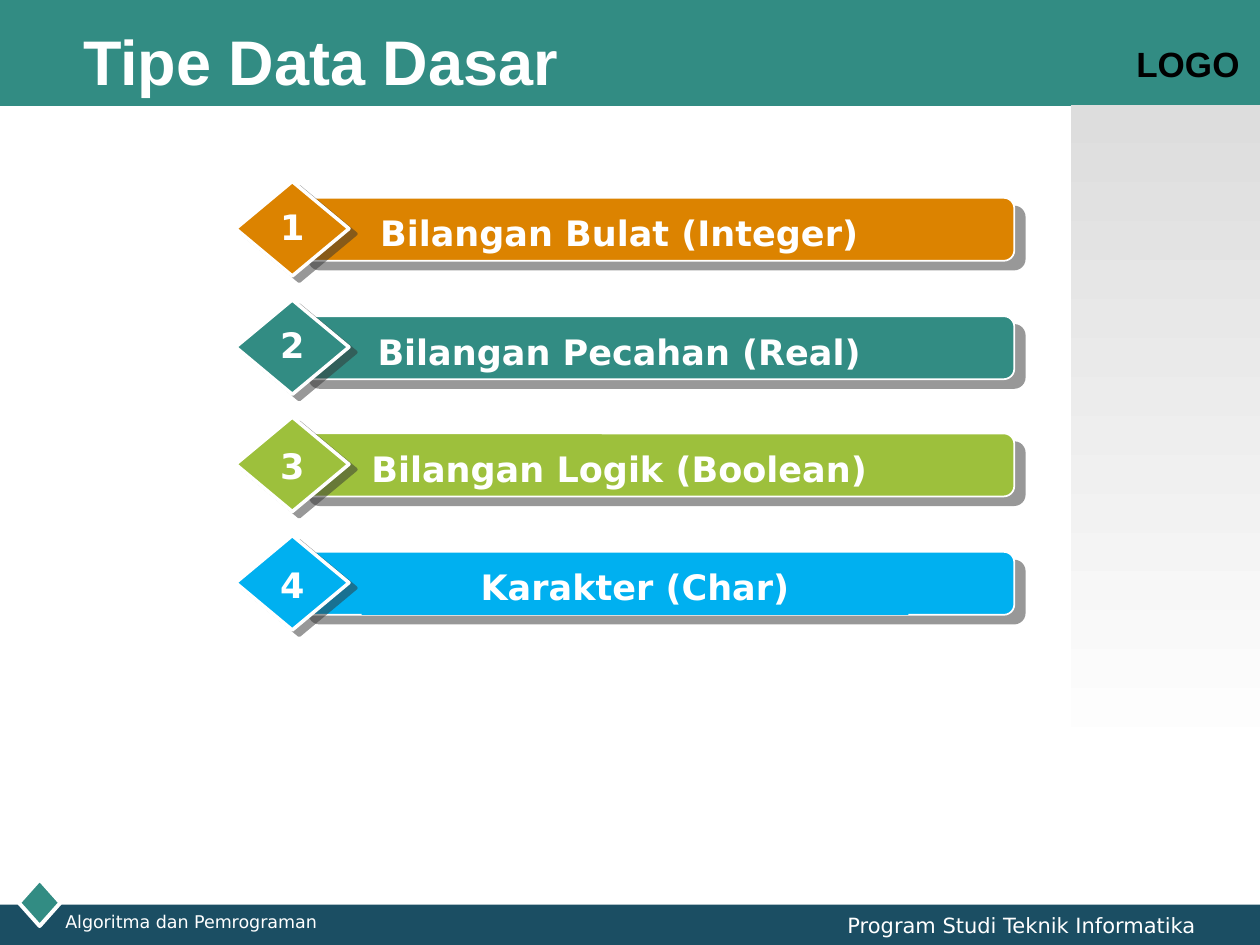
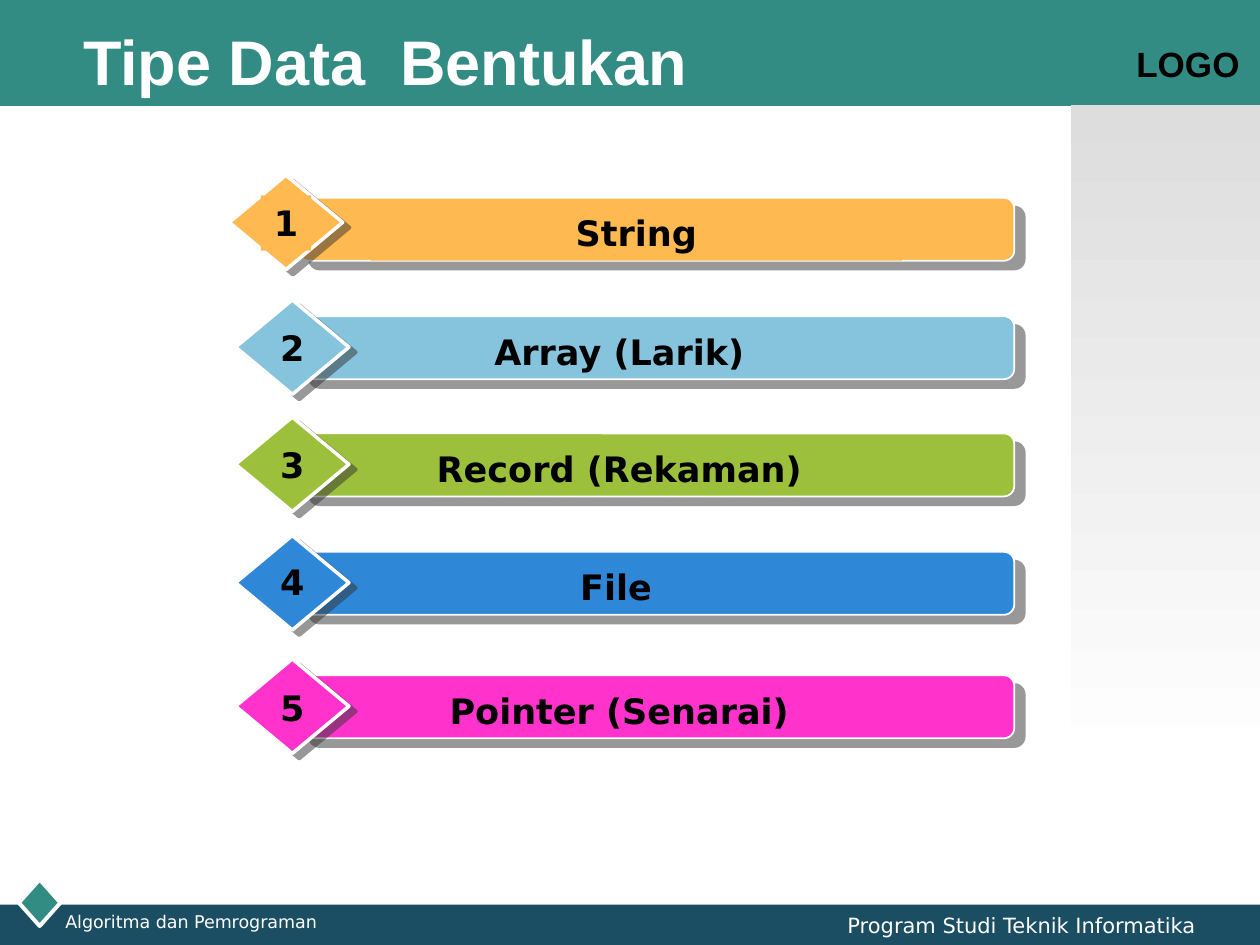
from dataclasses import dataclass

from lxml import etree
from pptx import Presentation
from pptx.dml.color import RGBColor
from pptx.enum.shapes import MSO_SHAPE
from pptx.enum.text import MSO_ANCHOR, MSO_AUTO_SIZE, PP_ALIGN
from pptx.oxml.ns import qn
from pptx.shapes.autoshape import Shape
from pptx.slide import Slide
from pptx.util import Emu, Pt

RECT = MSO_SHAPE.RECTANGLE
ROUND = MSO_SHAPE.ROUNDED_RECTANGLE
DIAMOND = MSO_SHAPE.DIAMOND
LEFT, CENTER, RIGHT = PP_ALIGN.LEFT, PP_ALIGN.CENTER, PP_ALIGN.RIGHT
MIDDLE = MSO_ANCHOR.MIDDLE
GROW, FIXED = MSO_AUTO_SIZE.SHAPE_TO_FIT_TEXT, MSO_AUTO_SIZE.NONE

WHITE = RGBColor(0xFF, 0xFF, 0xFF)
BLACK = RGBColor(0x00, 0x00, 0x00)
TEAL = RGBColor(0x32, 0x8C, 0x83)
NAVY = RGBColor(0x1B, 0x4E, 0x63)
SILVER = RGBColor(0xDD, 0xDD, 0xDD)
GRAY = RGBColor(0x33, 0x33, 0x33)
ORANGE = RGBColor(0xDC, 0x83, 0x00)
GREEN = RGBColor(0x9D, 0xC0, 0x3C)
CYAN = RGBColor(0x00, 0xB0, 0xF0)
AMBER = RGBColor(0xFF, 0xB9, 0x51)
SKY = RGBColor(0x86, 0xC4, 0xDE)
BLUE = RGBColor(0x2F, 0x87, 0xD7)
PINK = RGBColor(0xFF, 0x33, 0xCC)

SANS, HEAD = "DejaVu Sans", "Arial"
PX = 9144
FIRST, PITCH = 157, 93.75


@dataclass(frozen=True)
class Box:
    x: int
    y: int
    w: int
    h: int

    def emu(self) -> tuple[Emu, ...]:
        return tuple(Emu(n * PX) for n in (self.x, self.y, self.w, self.h))


@dataclass(frozen=True)
class Style:
    size: int
    color: RGBColor
    bold: bool = True
    font: str = SANS
    align: PP_ALIGN = LEFT


@dataclass(frozen=True)
class Item:
    text: str
    color: RGBColor
    dip: int = 16
    left: int = 267
    width: int = 449
    shift: int = 0
    drop: int = 0
    solid: bool = False
    patch: bool = False


@dataclass(frozen=True)
class Page:
    title: str
    ink: RGBColor
    items: tuple[Item, ...]


PAGES = (
    Page("Tipe Data Dasar", WHITE, (
        Item("Bilangan Bulat (Integer)", ORANGE, 14),
        Item("Bilangan Pecahan (Real)", TEAL, 14),
        Item("Bilangan Logik (Boolean)", GREEN, 17),
        Item("Karakter (Char)", CYAN, 17, 287, 434, solid=True),
    )),
    Page("Tipe Data  Bentukan", BLACK, (
        Item("String", AMBER, 16, 294, 422, -5, solid=True, patch=True),
        Item("Array (Larik)", SKY),
        Item("Record (Rekaman)", GREEN),
        Item("File", BLUE, 15, width=444),
        Item("Pointer (Senarai)", PINK, 17, drop=4),
    )),
)


def write(shape: Shape, text: str, style: Style) -> None:
    frame = shape.text_frame
    frame.text = text
    para = frame.paragraphs[0]
    para.alignment = style.align
    font = para.runs[0].font
    font.name, font.size = style.font, Pt(style.size)
    font.bold, font.color.rgb = style.bold, style.color


def label(shapes, box: Box, text: str, style: Style,
          wrap: bool = True, fit: MSO_AUTO_SIZE = GROW) -> Shape:
    shape = shapes.add_textbox(*box.emu())
    write(shape, text, style)
    shape.text_frame.word_wrap = wrap
    shape.text_frame.auto_size = fit
    return shape


def paint(shape: Shape, color: RGBColor) -> None:
    shape.fill.solid()
    shape.fill.fore_color.rgb = color


def block(shapes, kind: MSO_SHAPE, box: Box, color: RGBColor,
          edge: float = 0) -> Shape:
    shape = shapes.add_shape(kind, *box.emu())
    shape.shadow.inherit = False
    paint(shape, color)
    if edge:
        shape.line.color.rgb = WHITE
        shape.line.width = Pt(edge)
    else:
        shape.line.fill.background()
    return shape


def shade(shape: Shape, dist: float, angle: int) -> None:
    effects = shape._element.spPr.find(qn("a:effectLst"))
    shadow = etree.SubElement(
        effects, qn("a:outerShdw"), blurRad="0", dist=str(Pt(dist)),
        dir=str(angle * 60000), algn="ctr", rotWithShape="0")
    color = etree.SubElement(shadow, qn("a:srgbClr"), val=str(GRAY))
    etree.SubElement(color, qn("a:alpha"), val="50000")


def draw_frame(slide: Slide) -> None:
    shapes = slide.shapes
    block(shapes, RECT, Box(0, 0, 1000, 84), TEAL)
    block(shapes, RECT, Box(0, 718, 1000, 33), NAVY)
    block(shapes, DIAMOND, Box(15, 698, 33, 37), TEAL, 2.25)
    label(shapes, Box(892, 29, 108, 44), "LOGO", Style(20, BLACK, font=HEAD))
    side = block(shapes, RECT, Box(850, 83, 150, 525), SILVER)
    side.fill.gradient()
    side.fill.gradient_angle = 270
    for stop, color in zip(side.fill.gradient_stops, (SILVER, WHITE)):
        stop.color.rgb = color
    label(shapes, Box(42, 718, 267, 23), "Algoritma dan Pemrograman",
          Style(10, WHITE, False), fit=FIXED)
    label(shapes, Box(563, 719, 396, 24), "Program Studi Teknik Informatika",
          Style(12, WHITE, False, align=RIGHT), fit=FIXED)


def draw_title(slide: Slide, text: str) -> None:
    title = slide.shapes.title
    box = Box(56, 17, 795, 62)
    title.left, title.top, title.width, title.height = box.emu()
    write(title, text, Style(36, WHITE, font=HEAD))
    title.text_frame.vertical_anchor = MIDDLE
    title.text_frame.auto_size = FIXED
    slide.shapes._spTree.append(title._element)


def draw_item(slide: Slide, index: int, item: Item, ink: RGBColor) -> None:
    shapes = slide.shapes.add_group_shape().shapes
    style = Style(20, ink, align=CENTER)
    top = round(FIRST + PITCH * index) + item.drop
    bar = block(shapes, ROUND, Box(237, top, 568, 50), item.color, 1)
    shade(bar, 7.8, 40)
    tag = Box(187 + item.shift, top - 13 + item.shift, 90, 75)
    gem = block(shapes, DIAMOND, tag, item.color, 2)
    shade(gem, 5, 37)
    name = label(shapes, Box(item.left, top + 6, item.width, 44),
                 item.text, style)
    mark = label(shapes, Box(tag.x + 25, tag.y + item.dip, 40, 44),
                 str(index + 1), style, wrap=False)
    if item.solid:
        paint(name, item.color)
    if item.patch:
        paint(mark, item.color)


def main() -> None:
    deck = Presentation()
    deck.slide_width, deck.slide_height = Emu(1000 * PX), Emu(750 * PX)
    for page in PAGES:
        slide = deck.slides.add_slide(deck.slide_layouts[5])
        draw_frame(slide)
        draw_title(slide, page.title)
        for index, item in enumerate(page.items):
            draw_item(slide, index, item, page.ink)
    deck.save("out.pptx")


if __name__ == "__main__":
    main()
